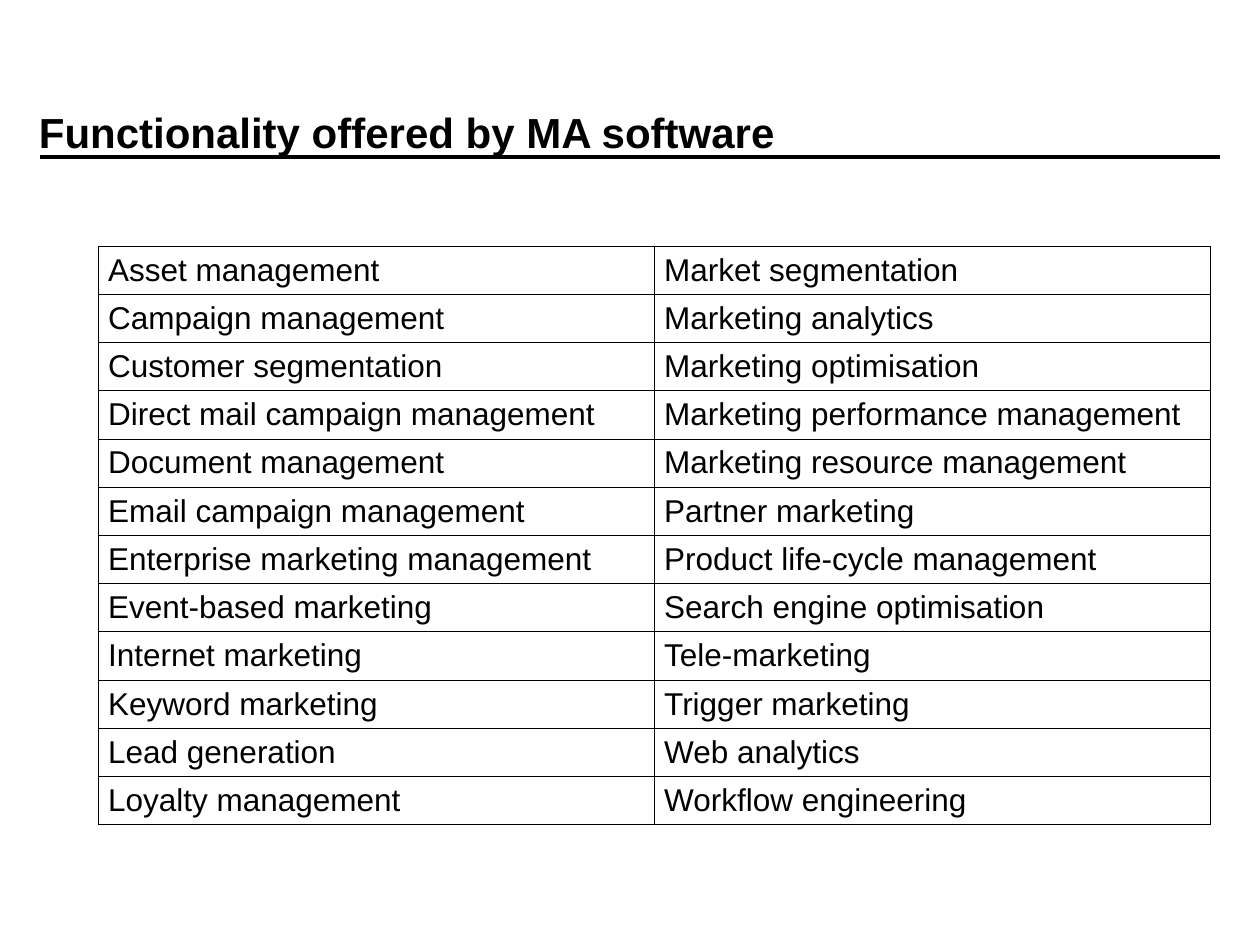
import lxml.etree
import pptx
import pptx.dml.color
import pptx.enum.shapes
import pptx.enum.text
import pptx.oxml.ns
import pptx.util

Cm, Pt = pptx.util.Cm, pptx.util.Pt
qn = pptx.oxml.ns.qn

# Content
TITLE = "Functionality offered by MA software"
FUNCTIONS = [
    ("Asset management", "Market segmentation"),
    ("Campaign management", "Marketing analytics"),
    ("Customer segmentation", "Marketing optimisation"),
    ("Direct mail campaign management", "Marketing performance management"),
    ("Document management", "Marketing resource management"),
    ("Email campaign management", "Partner marketing"),
    ("Enterprise marketing management", "Product life-cycle management"),
    ("Event-based marketing", "Search engine optimisation"),
    ("Internet marketing", "Tele-marketing"),
    ("Keyword marketing", "Trigger marketing"),
    ("Lead generation", "Web analytics"),
    ("Loyalty management", "Workflow engineering"),
]

# Style
FONT = "Arial"
BLACK = pptx.dml.color.RGBColor(0x00, 0x00, 0x00)
BORDER = Pt(0.45)
COLUMN_WIDTH, ROW_HEIGHT = Cm(11.21), Cm(0.83)


def write(frame, text, size, bold=False):
    para = frame.paragraphs[0]
    para.alignment = pptx.enum.text.PP_ALIGN.LEFT
    span = para.add_run()
    span.text = text
    span.font.name, span.font.size = FONT, Pt(size)
    span.font.bold = bold
    span.font.color.rgb = BLACK


def draw_borders(cell):
    properties = cell._tc.get_or_add_tcPr()
    for position, side in enumerate(("lnL", "lnR", "lnT", "lnB")):
        line = lxml.etree.Element(qn("a:" + side), w=str(int(BORDER)))
        fill = lxml.etree.SubElement(line, qn("a:solidFill"))
        lxml.etree.SubElement(fill, qn("a:srgbClr"), val=str(BLACK))
        properties.insert(position, line)


deck = pptx.Presentation()
deck.slide_width, deck.slide_height = Cm(25.4), Cm(19.05)
page = deck.slides.add_slide(deck.slide_layouts[5])

# Rule under the title
rule = page.shapes.add_connector(
    pptx.enum.shapes.MSO_CONNECTOR.STRAIGHT,
    Cm(0.81), Cm(3.17), Cm(24.59), Cm(3.17))
rule.line.color.rgb = BLACK
rule.line.width = Pt(2)
lxml.etree.SubElement(rule._element.spPr, qn("a:effectLst"))

# Title
title = page.shapes.title
title.left, title.top, title.width, title.height = Cm(0.53), Cm(1.07), Cm(21.59), Cm(3.18)
title.text_frame.vertical_anchor = pptx.enum.text.MSO_ANCHOR.MIDDLE
title.text_frame.auto_size = pptx.enum.text.MSO_AUTO_SIZE.NONE
write(title.text_frame, TITLE, 24, bold=True)

# Table of functions
row_count, column_count = len(FUNCTIONS), len(FUNCTIONS[0])
table = page.shapes.add_table(
    row_count, column_count, Cm(1.98), Cm(4.96),
    COLUMN_WIDTH * column_count, ROW_HEIGHT * row_count).table
table.first_row = table.horz_banding = False
for row, names in enumerate(FUNCTIONS):
    for column, name in enumerate(names):
        cell = table.cell(row, column)
        cell.fill.background()
        cell.margin_left = cell.margin_right = Cm(0.2)
        cell.margin_top = cell.margin_bottom = Cm(0.13)
        draw_borders(cell)
        write(cell.text_frame, name, 18)

deck.save("out.pptx")
